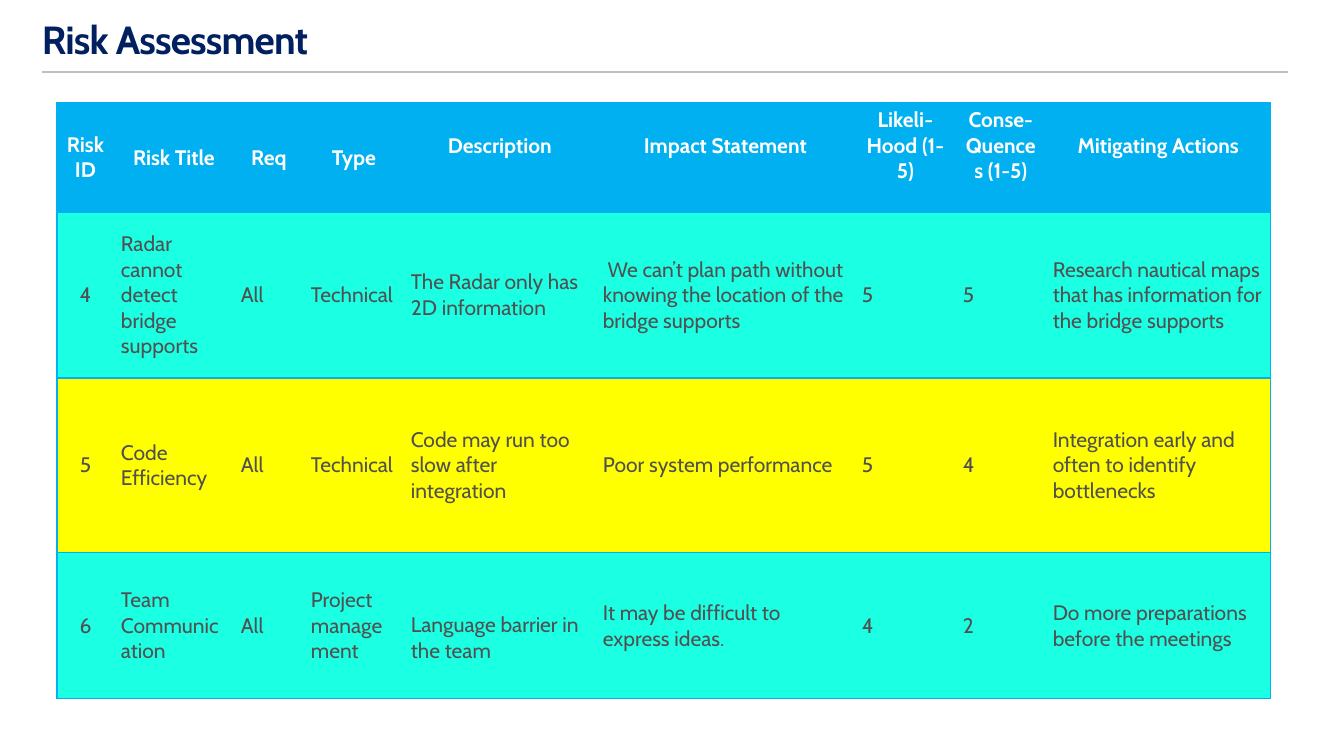
from lxml.etree import SubElement
from pptx import Presentation
from pptx.dml.color import RGBColor
from pptx.enum.shapes import MSO_CONNECTOR
from pptx.enum.text import MSO_ANCHOR, MSO_AUTO_SIZE, PP_ALIGN
from pptx.oxml.ns import qn
from pptx.util import Pt

TITLE = "Risk Assessment"
HEADINGS = ("Risk ID", "Risk Title", "Req", "Type", "Description", "Impact Statement",
            "Likeli-\nHood (1-5)", "Conse-\nQuences (1-5)", "Mitigating Actions")
RISKS = [
    ("4", "Radar cannot detect bridge supports", "All", "Technical",
     "The Radar only has 2D information",
     " We can’t plan path without knowing the location of the bridge supports",
     "5", "5", "Research nautical maps that has information for the bridge supports"),
    ("5", "Code Efficiency", "All", "Technical",
     "Code may run too slow after integration", "Poor system performance",
     "5", "4", "Integration early and often to identify bottlenecks"),
    ("6", "Team Communication", "All", "Project management",
     "Language barrier in the team", "It may be difficult to express ideas.",
     "4", "2", "Do more preparations before the meetings"),
]
COLORS = {"title": "002060", "rule": "BFBFBF", "header": "00B0F0", "heading": "FFFFFF",
          "body": "505050", "aqua": "1BFFE3", "yellow": "FFFF00"}
ROW_FILLS = ("header", "aqua", "yellow", "aqua")

FONT = "Cabin"
SLIDE_W, SLIDE_H = 1344, 756
TABLE_LEFT, TABLE_TOP = 57, 103
COLUMN_WIDTHS = (57, 120, 70, 100, 192, 259, 101, 90, 225)
ROW_HEIGHTS = (109, 166, 175, 146)
INSET_X, INSET_Y = 7, 4
LINE_SHIFT = 24  # extra inset that moves a cell's text by half a line
RAISED_HEADINGS = range(4, 9)
LOWERED_CELL = (3, 4)


def px(length):
    return round(length * 914400 / 100.8)


def rgb(name):
    return RGBColor.from_string(COLORS[name])


def style_runs(frame, size, color, bold):
    for paragraph in frame.paragraphs:
        for run in paragraph.runs:
            run.font.name = FONT
            run.font.size = Pt(size)
            run.font.bold = bold
            run.font.color.rgb = rgb(color)


def set_borders(cell, visible_sides):
    properties = cell._tc.get_or_add_tcPr()
    for position, side in enumerate("LRTB"):
        border = SubElement(properties, qn(f"a:ln{side}"), w=str(Pt(1)))
        if side in visible_sides:
            fill = SubElement(border, qn("a:solidFill"))
            SubElement(fill, qn("a:srgbClr"), val=COLORS["header"])
        else:
            SubElement(border, qn("a:noFill"))
        properties.insert(position, border)


def add_title(slide):
    title = slide.shapes.title
    title.left, title.top, title.width, title.height = px(42), 0, px(1246), px(72)
    frame = title.text_frame
    frame.text = TITLE
    frame.auto_size = MSO_AUTO_SIZE.NONE
    frame.vertical_anchor = MSO_ANCHOR.MIDDLE
    frame.margin_left, frame.margin_right = 0, px(6)
    frame.margin_top, frame.margin_bottom = px(17), px(6)
    paragraph = frame.paragraphs[0]
    paragraph.alignment = PP_ALIGN.LEFT
    paragraph.line_spacing = 0.9
    style_runs(frame, 28, "title", True)
    paragraph.runs[0].font._element.set("spc", "-60")


def add_rule(slide):
    rule = slide.shapes.add_connector(MSO_CONNECTOR.STRAIGHT, px(42), px(72), px(1288), px(72))
    rule.line.color.rgb = rgb("rule")
    rule.line.width = Pt(1.75)
    SubElement(rule._element.spPr, qn("a:effectLst"))


def fill_cell(cell, row, column, text):
    is_header = row == 0
    cell.fill.solid()
    cell.fill.fore_color.rgb = rgb(ROW_FILLS[row])
    outer_side = {0: "L", len(HEADINGS) - 1: "R"}.get(column, "")
    set_borders(cell, "TB" + outer_side)

    raised = is_header and column in RAISED_HEADINGS
    lowered = (row, column) == LOWERED_CELL
    cell.vertical_anchor = MSO_ANCHOR.MIDDLE
    cell.margin_left = cell.margin_right = px(INSET_X)
    cell.margin_top = px(INSET_Y + LINE_SHIFT * lowered)
    cell.margin_bottom = px(INSET_Y + LINE_SHIFT * raised)

    cell.text_frame.text = text
    centred = is_header or column == 0
    for paragraph in cell.text_frame.paragraphs:
        paragraph.alignment = PP_ALIGN.CENTER if centred else PP_ALIGN.LEFT
    style_runs(cell.text_frame, 15, "heading" if is_header else "body", is_header)


def add_risk_table(slide):
    rows = [HEADINGS, *RISKS]
    table = slide.shapes.add_table(
        len(rows), len(HEADINGS), px(TABLE_LEFT), px(TABLE_TOP),
        px(sum(COLUMN_WIDTHS)), px(sum(ROW_HEIGHTS))).table
    table.horz_banding = False
    for column, width in zip(table.columns, COLUMN_WIDTHS):
        column.width = px(width)
    for row, height in zip(table.rows, ROW_HEIGHTS):
        row.height = px(height)
    for row, texts in enumerate(rows):
        for column, text in enumerate(texts):
            fill_cell(table.cell(row, column), row, column, text)


def main():
    presentation = Presentation()
    presentation.slide_width, presentation.slide_height = px(SLIDE_W), px(SLIDE_H)
    slide = presentation.slides.add_slide(presentation.slide_layouts.get_by_name("Title Only"))
    add_title(slide)
    add_rule(slide)
    add_risk_table(slide)
    presentation.save("out.pptx")


if __name__ == "__main__":
    main()
